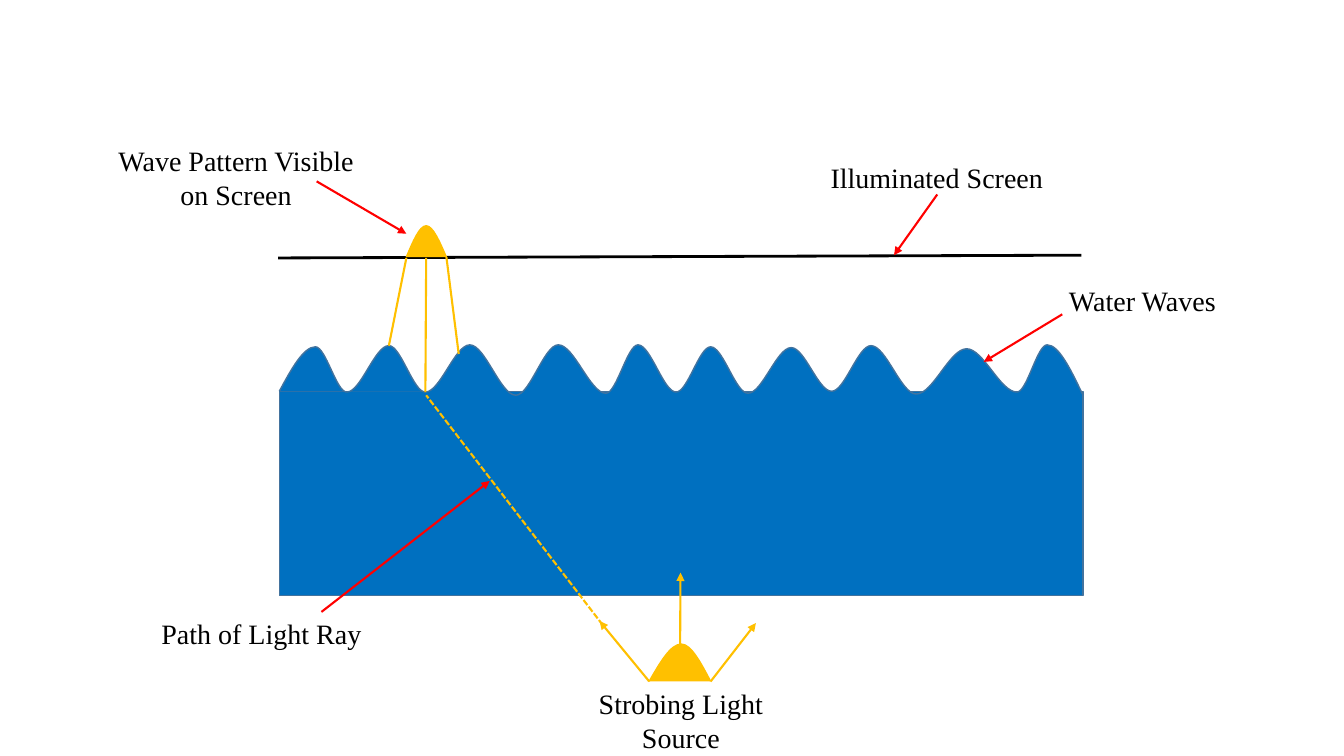
from dataclasses import dataclass
from itertools import pairwise

from lxml.etree import SubElement
from pptx import Presentation
from pptx.dml.color import RGBColor
from pptx.enum.dml import MSO_LINE_DASH_STYLE as Dash
from pptx.enum.shapes import MSO_CONNECTOR as Connector, MSO_SHAPE as Shape
from pptx.enum.text import MSO_AUTO_SIZE as AutoSize, PP_ALIGN as Align
from pptx.oxml.ns import qn
from pptx.util import Cm, Pt


@dataclass(frozen=True)
class Theme:
    water: str = "0070C0"
    water_edge: str = "43739E"
    light: str = "FFC000"
    pointer: str = "FF0000"
    ink: str = "000000"
    font: str = "Times New Roman"
    text_size: float = 20
    outline: float = 1
    ray: float = 1.5
    screen: float = 2


THEME = Theme()

# Content: all positions in centimetres
SLIDE_SIZE = (33.87, 19.05)
TANK = (7.04, 9.86, 20.25, 5.15)

# Alternating crests and troughs, from edge to edge
WATER_WAVES = [
    (7.04, 9.86), (7.95, 8.74), (8.74, 9.88), (9.8, 8.71), (10.72, 9.88),
    (11.84, 8.69), (13, 9.96), (14.07, 8.69), (15.27, 9.91), (16.08, 8.69),
    (17.04, 9.88), (17.91, 8.74), (18.85, 9.91), (19.94, 8.76), (20.96, 9.86),
    (21.95, 8.71), (23.09, 9.93), (24.36, 8.79), (25.63, 9.88), (26.39, 8.69),
    (27.28, 9.93),
]
LAMP = [(16.36, 17.17), (17.17, 16.23), (17.91, 17.17)]
SCREEN_PATTERN = [(10.24, 6.48), (10.74, 5.69), (11.25, 6.48)]

# Lines: (start, end)
SCREEN = ((7.01, 6.5), (27.25, 6.43))
LAMP_RAYS = [
    ((16.36, 17.17), (15.11, 15.65)),
    ((17.91, 17.17), (19.05, 15.7)),
    ((17.14, 16.23), (17.15, 14.43)),
]
BEAMS = [
    ((11.25, 6.48), (11.56, 8.92)),
    ((10.24, 6.5), (9.8, 8.71)),
    ((10.74, 6.5), (10.72, 9.88)),
]
LIGHT_PATH = ((15.19, 15.75), (10.74, 9.96))
POINTERS = [
    ((26.77, 7.92), (24.79, 9.12)),
    ((23.62, 4.9), (22.53, 6.43)),
    ((7.98, 4.57), (10.24, 5.89)),
    ((8.1, 15.42), (12.34, 12.12)),
]

# Labels: text, left, top, width, height
LABELS = [
    ("Strobing Light Source", 14.15, 17.18, 6.02, 1.96),
    ("Illuminated Screen", 20.17, 3.92, 6.88, 1.11),
    ("Water Waves", 25.35, 7.02, 6.88, 1.11),
    ("Wave Pattern Visible on Screen", 2.51, 3.5, 6.88, 1.96),
    ("Path of Light Ray", 3.15, 15.4, 6.88, 1.11),
]


def color(value):
    return RGBColor.from_string(value)


def paint(shape, fill, edge):
    shape.shadow.inherit = False
    shape.fill.solid()
    shape.fill.fore_color.rgb = color(fill)
    shape.line.color.rgb = color(edge)
    shape.line.width = Pt(THEME.outline)


def round_off(shape):
    """Turn segments into arcs, level at inner nodes and sloping at both ends."""
    segments = list(shape._element.iter(qn("a:moveTo"), qn("a:lnTo")))
    nodes = [(int(s[0].get("x")), int(s[0].get("y"))) for s in segments]
    last = len(nodes) - 2
    for index, ((x0, y0), (x3, y3)) in enumerate(pairwise(nodes)):
        third, middle = (x3 - x0) // 3, (y0 + y3) // 2
        handles = [
            (x0 + third, middle if index == 0 else y0),
            (x3 - third, middle if index == last else y3),
        ]
        arc = segments[index + 1]
        arc.tag = qn("a:cubicBezTo")
        for place, (x, y) in enumerate(handles):
            handle = SubElement(arc, qn("a:pt"), x=str(x), y=str(y))
            arc.insert(place, handle)


def add_wave(page, nodes, fill, edge):
    start, *others = [(Cm(x), Cm(y)) for x, y in nodes]
    builder = page.shapes.build_freeform(*start)
    builder.add_line_segments(others, close=False)
    wave = builder.convert_to_shape()
    round_off(wave)
    paint(wave, fill, edge)


def add_line(page, ends, ink, width, arrow=False, dash=None):
    (x0, y0), (x1, y1) = ends
    line = page.shapes.add_connector(
        Connector.STRAIGHT, Cm(x0), Cm(y0), Cm(x1), Cm(y1))
    line.line.color.rgb = color(ink)
    line.line.width = Pt(width)
    if dash:
        line.line.dash_style = dash
    if arrow:
        SubElement(line.line._get_or_add_ln(), qn("a:tailEnd"), type="triangle")
    SubElement(line._element.spPr, qn("a:effectLst"))


def add_label(page, text, *place):
    box = page.shapes.add_textbox(*map(Cm, place))
    frame = box.text_frame
    frame.word_wrap = True
    frame.auto_size = AutoSize.SHAPE_TO_FIT_TEXT
    para = frame.paragraphs[0]
    para.text = text
    para.alignment = Align.CENTER
    para.font.name = THEME.font
    para.font.size = Pt(THEME.text_size)
    para.font.color.rgb = color(THEME.ink)


def main():
    deck = Presentation()
    deck.slide_width, deck.slide_height = map(Cm, SLIDE_SIZE)
    page = deck.slides.add_slide(deck.slide_layouts[6])

    # Water
    tank = page.shapes.add_shape(Shape.RECTANGLE, *map(Cm, TANK))
    paint(tank, THEME.water, THEME.water_edge)
    add_wave(page, WATER_WAVES, THEME.water, THEME.water_edge)

    # Screen, lamp and light
    add_line(page, SCREEN, THEME.ink, THEME.screen)
    for nodes in (LAMP, SCREEN_PATTERN):
        add_wave(page, nodes, THEME.light, THEME.light)
    for ends in LAMP_RAYS:
        add_line(page, ends, THEME.light, THEME.ray, arrow=True)
    for ends in BEAMS:
        add_line(page, ends, THEME.light, THEME.ray)
    add_line(page, LIGHT_PATH, THEME.light, THEME.ray, dash=Dash.SQUARE_DOT)

    # Labels and their pointers
    for label in LABELS:
        add_label(page, *label)
    for ends in POINTERS:
        add_line(page, ends, THEME.pointer, THEME.ray, arrow=True)

    deck.save("out.pptx")


if __name__ == "__main__":
    main()
